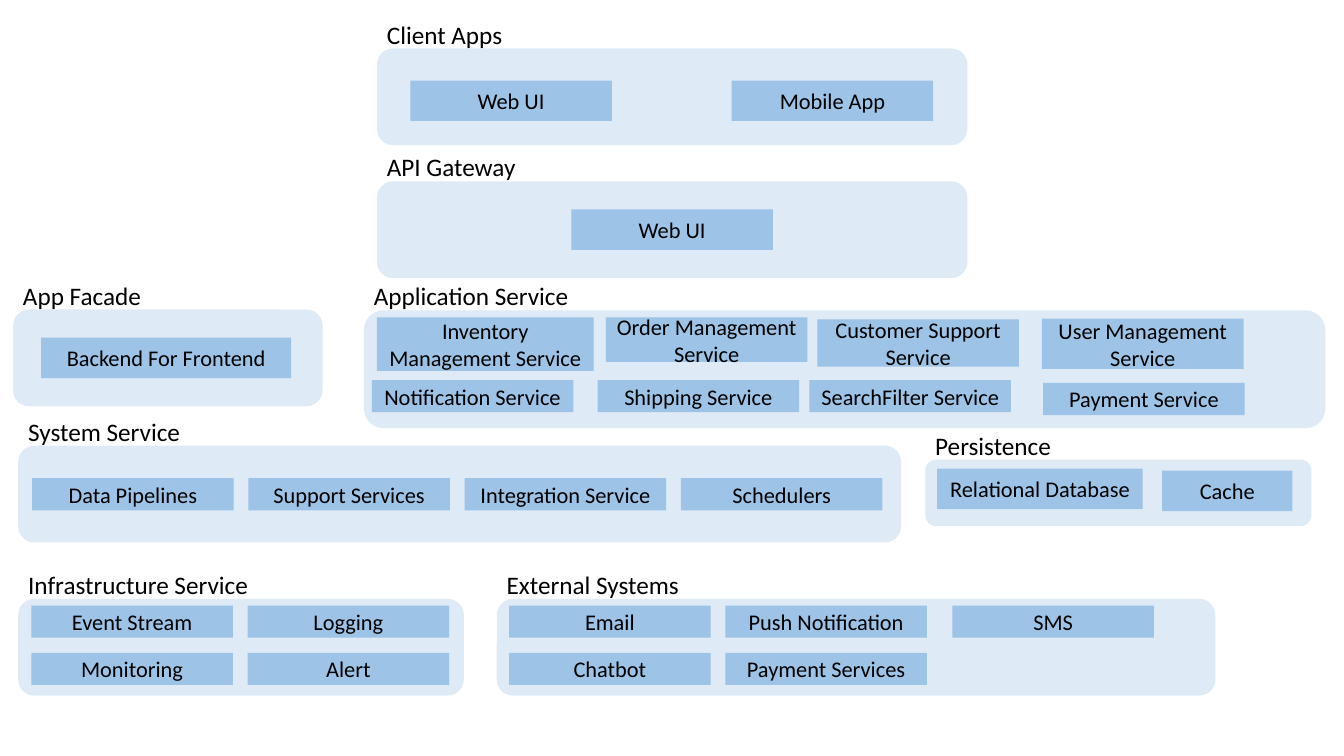
from pptx import Presentation
from pptx.dml.color import RGBColor
from pptx.enum.shapes import MSO_SHAPE
from pptx.enum.text import MSO_ANCHOR, MSO_AUTO_SIZE, PP_ALIGN
from pptx.util import Cm, Pt

THEME = {
    "font": "Calibri", "title": Pt(18), "label": Pt(16),
    "ink": RGBColor(0x00, 0x00, 0x00),
    "panel": RGBColor(0xDE, 0xEB, 0xF7),
    "box": RGBColor(0x9D, 0xC3, 0xE6),
}
BOX_W, TALL, LOW = 5.08, 1.02, 0.81  # usual box width and heights, cm
PITCH_X, PITCH_Y = 5.45, 1.19        # steps of the service grids
TITLE_RISE, TITLE_H = 0.87, 1.02
SHORT, LONG = 3.76, 6.25             # title widths


def grid(left, top, rows):
    """Equal low boxes on a regular grid."""
    return [(name, left + c * PITCH_X, top + r * PITCH_Y, BOX_W, LOW)
            for r, row in enumerate(rows) for c, name in enumerate(row)]


# Content: title, title width, panel (left, top, width, height), boxes
LAYERS = [
    ("Client Apps", SHORT, (9.5, 1.22, 14.88, 2.44), [
        ("Web UI", 10.34, 2.03, BOX_W, TALL),
        ("Mobile App", 18.44, 2.03, BOX_W, TALL)]),
    ("API Gateway", SHORT, (9.5, 4.57, 14.88, 2.44), [
        ("Web UI", 14.4, 5.28, BOX_W, TALL)]),
    ("App Facade", SHORT, (0.33, 7.8, 7.8, 2.44), [
        ("Backend For Frontend", 1.04, 8.51, 6.3, TALL)]),
    ("Application Service", LONG, (9.17, 7.82, 24.23, 2.97), [
        ("Inventory Management Service", 9.5, 8, 5.46, 1.35),
        ("Order Management Service", 15.27, 8, BOX_W, 1.12),
        ("Customer Support Service", 20.6, 8.05, BOX_W, 1.19),
        ("User Management Service", 26.26, 8.03, BOX_W, 1.27),
        ("Notification Service", 9.37, 9.58, BOX_W, LOW),
        ("Shipping Service", 15.06, 9.58, BOX_W, LOW),
        ("SearchFilter Service", 20.4, 9.58, BOX_W, LOW),
        ("Payment Service", 26.29, 9.65, BOX_W, LOW)]),
    ("System Service", LONG, (0.46, 11.23, 22.25, 2.44), grid(0.81, 12.05, [
        ["Data Pipelines", "Support Services", "Integration Service", "Schedulers"]])),
    ("Persistence", SHORT, (23.32, 11.58, 9.73, 1.68), [
        ("Relational Database", 23.62, 11.81, 5.18, TALL),
        ("Cache", 29.29, 11.86, 3.28, TALL)]),
    ("Infrastructure Service", LONG, (0.46, 15.09, 11.23, 2.44), grid(0.79, 15.26, [
        ["Event Stream", "Logging"],
        ["Monitoring", "Alert"]])),
    ("External Systems", LONG, (12.52, 15.09, 18.11, 2.44), grid(12.83, 15.26, [
        ["Email", "Push Notification"],
        ["Chatbot", "Payment Services"]]) + [("SMS", 24, 15.26, BOX_W, LOW)]),
]


def write(tf, text, size, align):
    tf.word_wrap = True
    p = tf.paragraphs[0]
    p.text = text
    p.alignment = align
    p.font.name, p.font.size = THEME["font"], size
    p.font.color.rgb = THEME["ink"]


def add_block(s, kind, place, color):
    sp = s.shapes.add_shape(kind, *map(Cm, place))
    sp.shadow.inherit = False
    sp.fill.solid()
    sp.fill.fore_color.rgb = color
    sp.line.fill.background()
    return sp


def add_layer(s, title, title_w, panel, boxes):
    # Panel and its title
    add_block(s, MSO_SHAPE.ROUNDED_RECTANGLE, panel, THEME["panel"])
    left, top = panel[:2]
    place = (left, top - TITLE_RISE, title_w, TITLE_H)
    tf = s.shapes.add_textbox(*map(Cm, place)).text_frame
    write(tf, title, THEME["title"], PP_ALIGN.LEFT)
    tf.auto_size = MSO_AUTO_SIZE.SHAPE_TO_FIT_TEXT

    # Components
    for name, *place in boxes:
        tf = add_block(s, MSO_SHAPE.RECTANGLE, place, THEME["box"]).text_frame
        tf.vertical_anchor = MSO_ANCHOR.MIDDLE
        write(tf, name, THEME["label"], PP_ALIGN.CENTER)


def main():
    prs = Presentation()
    prs.slide_width, prs.slide_height = Cm(33.87), Cm(19.05)
    s = prs.slides.add_slide(prs.slide_layouts[6])
    for layer in LAYERS:
        add_layer(s, *layer)
    prs.save("out.pptx")


if __name__ == "__main__":
    main()
